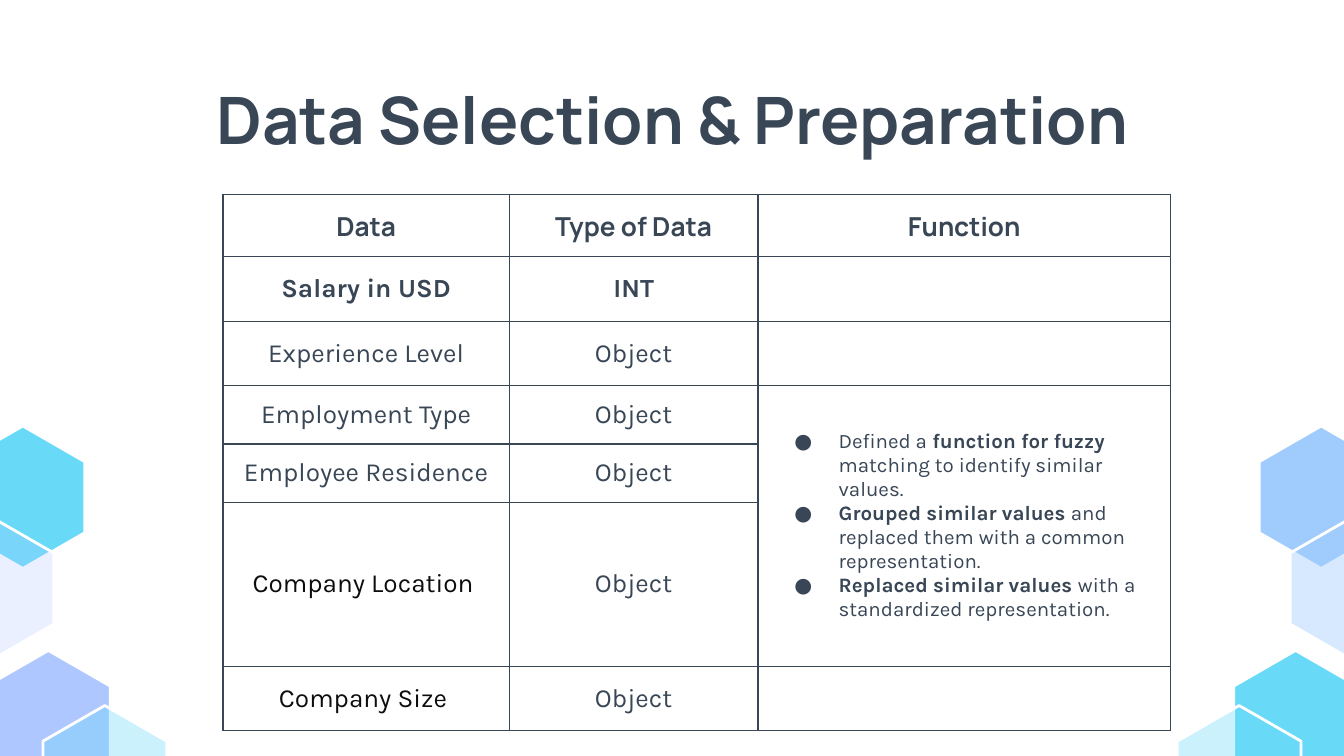
from lxml import etree
from pptx import Presentation, util as u
from pptx.dml.color import RGBColor
from pptx.enum import text
from pptx.oxml.ns import qn

WIDE = 10
HIGH = WIDE * 9 / 16
HEX_W, HEX_H = 0.92, 1.06
INK, BLACK = "384655", "0D0D0D"
COLS = [2.13, 1.85, 3.07]
ROWS = [
    (0.46, "Data", "Type of Data"),
    (0.48, "Salary in USD", "INT"),
    (0.48, "Experience Level", "Object"),
    (0.42, "Employment Type", "Object"),
    (0.42, "Employee Residence", "Object"),
    (1.22, "Company Location ", "Object"),
    (0.48, "Company Size ", "Object"),
]
STEPS = [
    [("Defined a ", False), ("function for fuzzy ", True),
     ("matching to identify similar values.", False)],
    [("Grouped similar values", True),
     (" and replaced them with a common representation.", False)],
    [("Replaced similar values ", True),
     ("with a standardized representation.", False)],
]
TILES = [
    (-0.29, 3.17, ("68DAF8", 100), ("9FCBFD", 100)),
    (-0.10, 4.84, ("AFC7FF", 100), ("68DAF8", 100)),
    (-0.52, 3.85, ("AFC7FF", 25), ("9FCBFD", 41)),
    (0.32, 5.25, ("68DAF8", 34), ("68DAF8", 34)),
]


def paint(part, code):
    part.solid()
    part.fore_color.rgb = RGBColor.from_string(code)


def style(font, face, size, code=INK, bold=None):
    font.name, font.size, font.bold = face, u.Pt(size), bold
    font.color.rgb = RGBColor.from_string(code)


def add_hex(slide, left, top, tint):
    code, alpha = tint
    spots = [(0.5, 0), (1, 0.25), (1, 0.75), (0.5, 1), (0, 0.75), (0, 0.25)]
    points = [(u.Inches(left + x * HEX_W), u.Inches(top + y * HEX_H))
              for x, y in spots]
    pen = slide.shapes.build_freeform(*points[0])
    pen.add_line_segments(points[1:], close=True)
    tile = pen.convert_to_shape()
    tile.shadow.inherit = False
    paint(tile.fill, code)
    if alpha < 100:
        color = tile.element.spPr.find(".//" + qn("a:srgbClr"))
        etree.SubElement(color, qn("a:alpha"), val=str(alpha * 1000))
    paint(tile.line.fill, "FFFFFF")
    tile.line.width = u.Pt(1.5)


def add_title(slide, words):
    box = slide.shapes.add_textbox(
        u.Inches(0.79), u.Inches(0.49), u.Inches(8.43), u.Inches(0.63))
    frame = box.text_frame
    frame.word_wrap = True
    frame.margin_top = frame.margin_bottom = u.Inches(0.1)
    line = frame.paragraphs[0]
    line.text = words
    line.alignment = text.PP_ALIGN.CENTER
    style(line.font, "Manrope", 35, bold=True)


def edge(cell):
    props = cell._tc.get_or_add_tcPr()
    for side in ("lnL", "lnR", "lnT", "lnB"):
        line = etree.SubElement(props, qn("a:" + side), w=str(u.Pt(0.75)))
        fill = etree.SubElement(line, qn("a:solidFill"))
        etree.SubElement(fill, qn("a:srgbClr"), val=INK)
    cell.fill.background()


def pad(cell):
    cell.vertical_anchor = text.MSO_ANCHOR.MIDDLE
    cell.margin_top = cell.margin_bottom = u.Inches(0.1)


def write(cell, words, face, code, bold):
    pad(cell)
    line = cell.text_frame.paragraphs[0]
    line.text = words
    line.alignment = text.PP_ALIGN.CENTER
    style(line.font, face, 14, code, bold)


def bullet(line, size):
    props = line._p.get_or_add_pPr()
    props.set("marL", str(u.Inches(0.5)))
    props.set("indent", str(u.Inches(-0.33)))
    color = etree.SubElement(props, qn("a:buClr"))
    etree.SubElement(color, qn("a:srgbClr"), val=INK)
    etree.SubElement(props, qn("a:buSzPts"), val=str(size * 100))
    etree.SubElement(props, qn("a:buFont"), typeface="Karla")
    etree.SubElement(props, qn("a:buChar"), char="●")


def add_steps(cell, size=11):
    pad(cell)
    frame = cell.text_frame
    for i, step in enumerate(STEPS):
        line = frame.add_paragraph() if i else frame.paragraphs[0]
        bullet(line, size)
        style(line.font, "Karla", size)
        for words, bold in step:
            run = line.add_run()
            run.text = words
            run.font.bold = bold


def add_grid(slide):
    tall = sum(row[0] for row in ROWS)
    frame = slide.shapes.add_table(
        len(ROWS), len(COLS), u.Inches(1.66), u.Inches(1.45),
        u.Inches(sum(COLS)), u.Inches(tall))
    grid = frame.table
    grid.first_row = grid.horz_banding = False
    for col, width in zip(grid.columns, COLS):
        col.width = u.Inches(width)
    for cell in grid.iter_cells():
        edge(cell)
    for r, (height, name, kind) in enumerate(ROWS):
        grid.rows[r].height = u.Inches(height)
        face = "Karla" if r else "Manrope"
        code = BLACK if name.startswith("Company") else INK
        write(grid.cell(r, 0), name, face, code, r < 2)
        write(grid.cell(r, 1), kind, face, INK, r < 2)
    write(grid.cell(0, 2), "Function", "Manrope", INK, True)
    grid.cell(3, 2).merge(grid.cell(5, 2))
    add_steps(grid.cell(3, 2))


def main():
    deck = Presentation()
    deck.slide_width, deck.slide_height = u.Inches(WIDE), u.Inches(HIGH)
    slide = deck.slides.add_slide(deck.slide_layouts[6])
    for left, top, west, east in TILES:
        add_hex(slide, left, top, west)
        add_hex(slide, WIDE - left - HEX_W, top, east)
    add_title(slide, "Data Selection & Preparation")
    add_grid(slide)
    deck.save("out.pptx")


if __name__ == "__main__":
    main()
